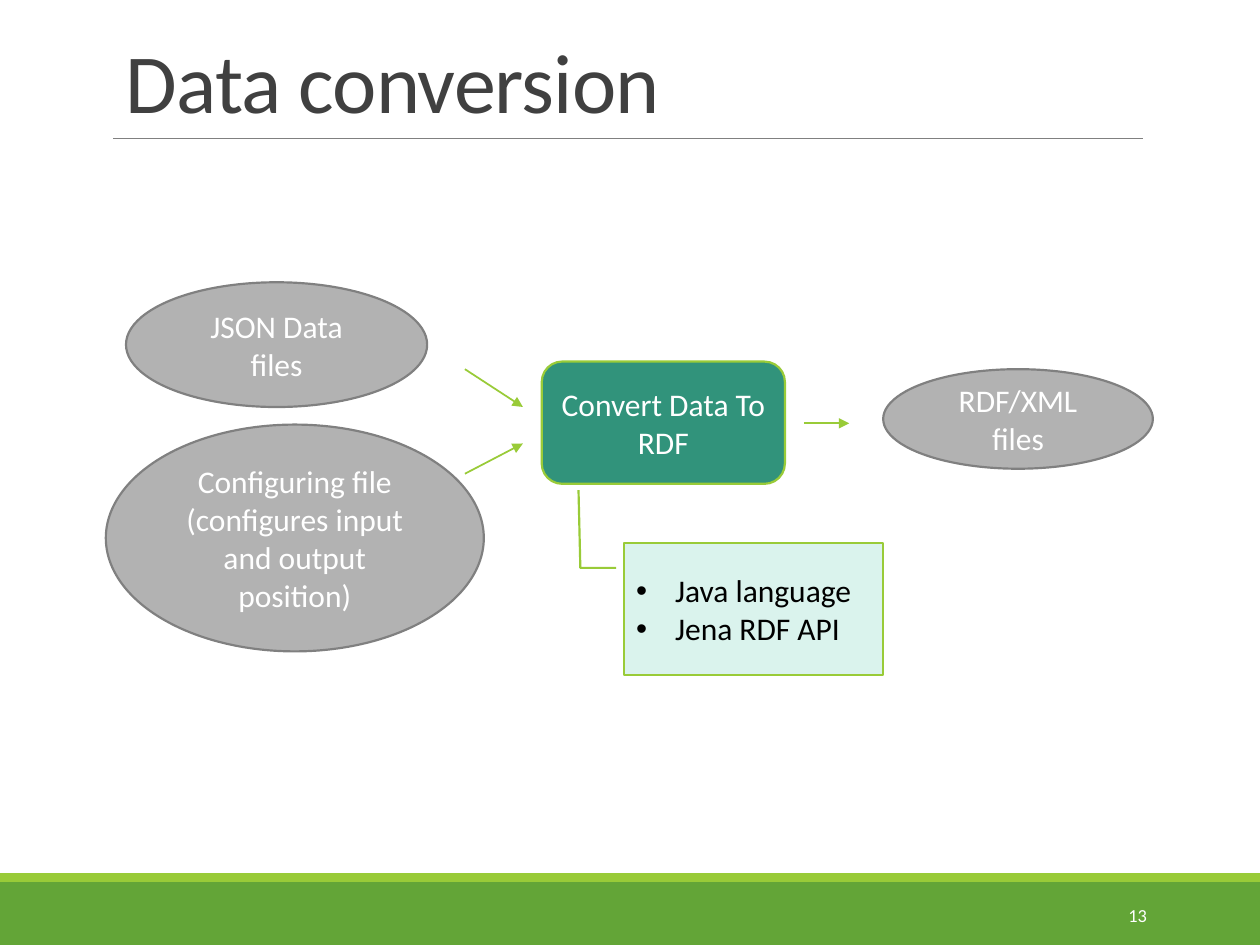
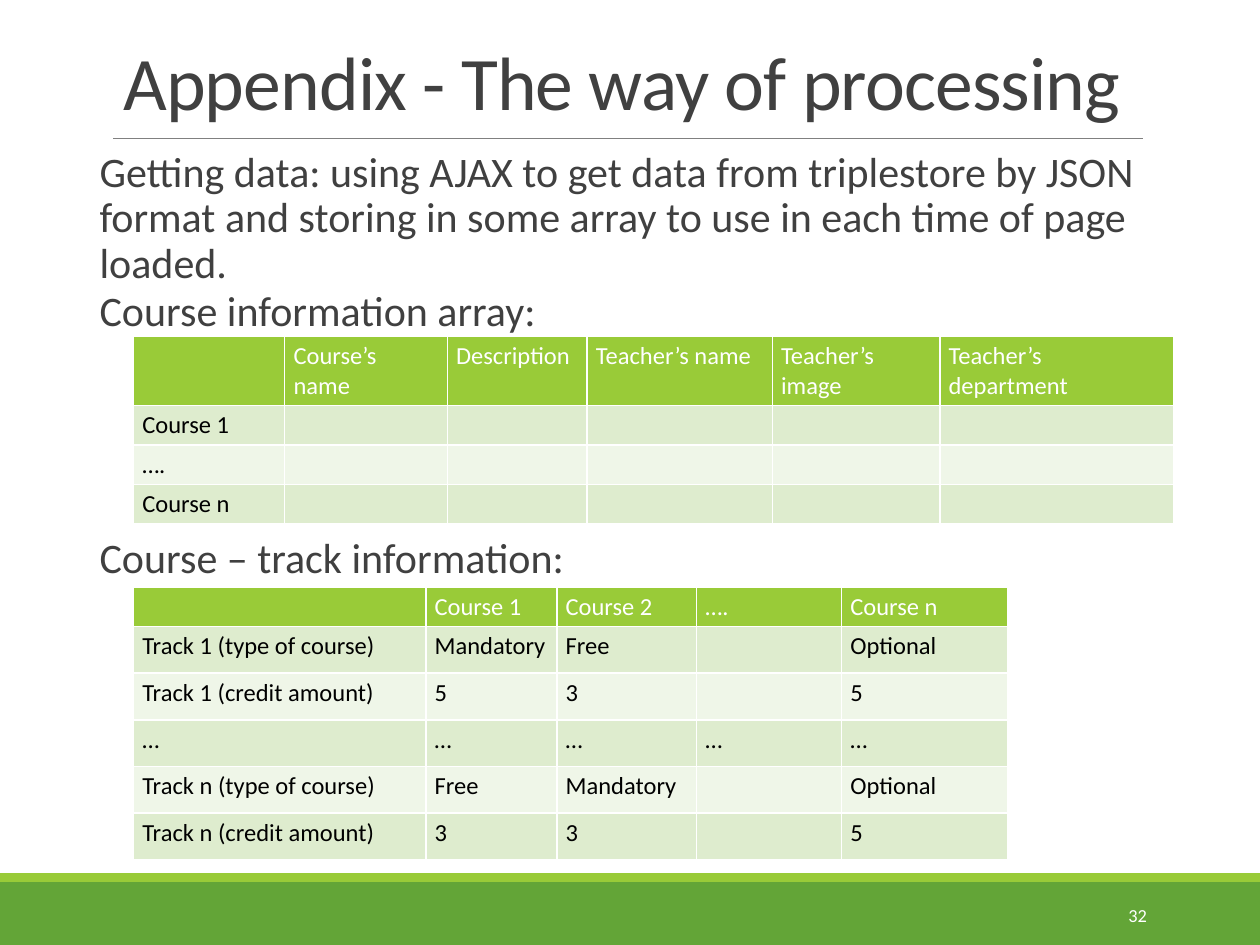
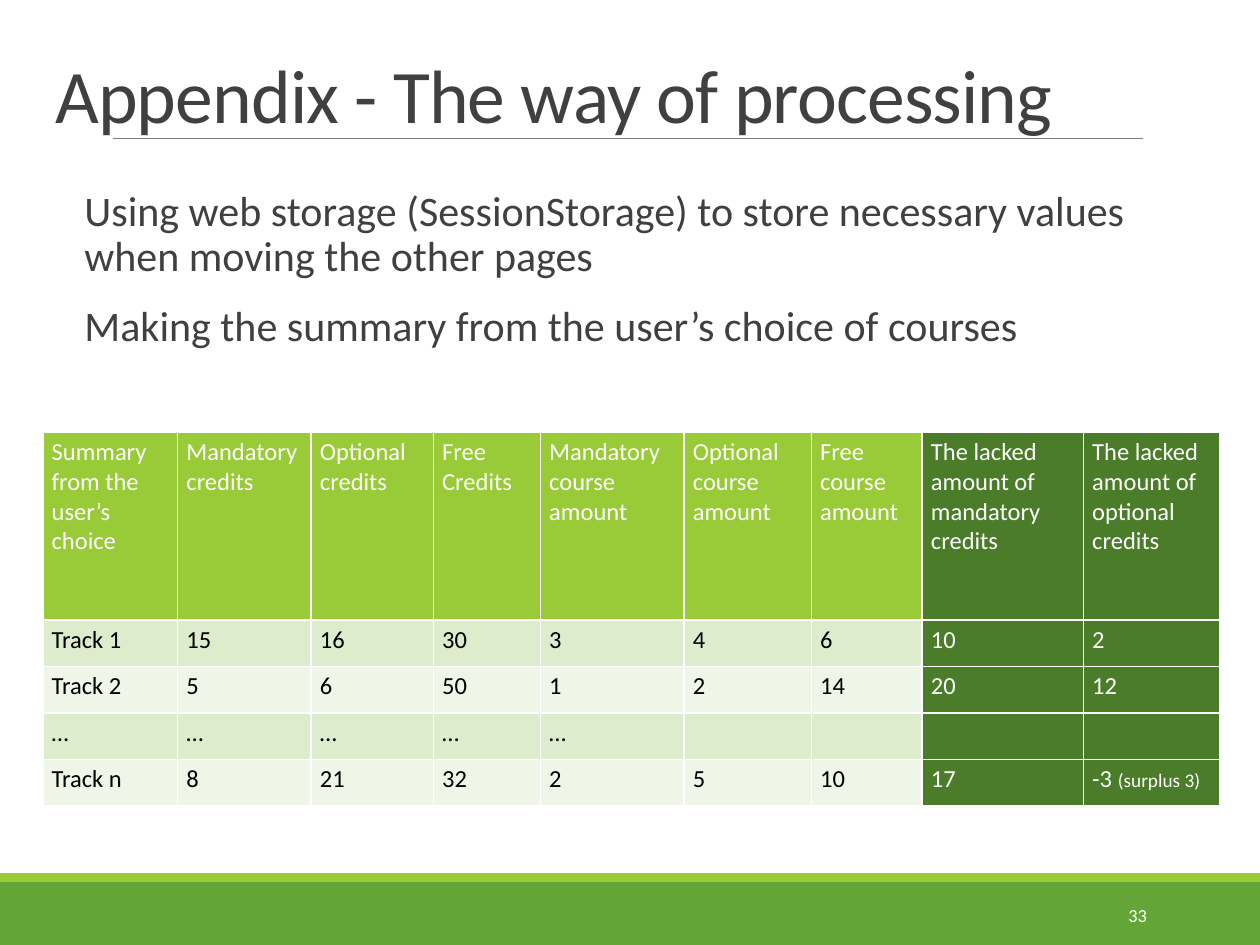
"""Build three slides on data conversion and course data processing."""
from dataclasses import dataclass

from lxml.etree import SubElement
from pptx import Presentation
from pptx.dml.color import RGBColor
from pptx.enum.shapes import MSO_CONNECTOR, MSO_SHAPE
from pptx.enum.text import MSO_ANCHOR, PP_ALIGN
from pptx.oxml.ns import qn
from pptx.util import Inches, Pt


@dataclass(frozen=True)
class Theme:
    font: str = "Calibri"
    white: str = "FFFFFF"
    black: str = "000000"
    ink: str = "404040"
    gray: str = "808080"
    oval: str = "B2B2B2"
    lime: str = "99CB38"
    green: str = "63A537"
    forest: str = "4A7C29"
    teal: str = "31937B"
    mint: str = "DAF3ED"
    bands: tuple = ("DEECCE", "EFF6E8")
    title: float = 48
    long_title: float = 43.2
    body: float = 24
    label: float = 18
    cell: float = 14
    small: float = 11
    number: float = 10.5


T = Theme()
W, H = 10, 7.5
FOOT = 0.5
STRIPE = 0.07
APPENDIX = "Appendix - The way of processing"

OVAL = (MSO_SHAPE.OVAL, T.oval, T.gray)
STEP = (MSO_SHAPE.ROUNDED_RECTANGLE, T.teal, T.lime)
NODES = [
    ("Convert Data To RDF", STEP, (4.3, 2.87, 1.93, 0.97)),
    ("JSON Data files", OVAL, (1, 2.24, 2.39, 0.99)),
    ("Configuring file (configures input and output position)", OVAL, (0.84, 3.37, 3, 1.8)),
    ("RDF/XML files", OVAL, (7.01, 2.93, 2.14, 0.79)),
]
ARROWS = [
    (3.69, 2.93, 4.15, 3.23),
    (3.69, 3.76, 4.15, 3.52),
    (6.38, 3.36, 6.74, 3.36),
]
TOOLS = ["Java language", "Jena RDF API"]
TOOLS_BOX = (4.95, 4.31, 2.06, 1.05)
TOOLS_LEADER = (0.188, -0.029, 0.188, -0.167, -0.4, -0.174)

DATA_NOTES = [
    ("Getting data: using AJAX to get data from triplestore by JSON format "
     "and storing in some array to use in each time of page loaded.", 0),
    ("Course information array:", 0),
    ("Course – track information:", 113),
]
COURSES = [
    ["", "Course’s name", "Description", "Teacher’s name", "Teacher’s image",
     "Teacher’s department"],
    ["Course 1"] + [""] * 5,
    ["…."] + [""] * 5,
    ["Course n"] + [""] * 5,
]
TRACKS = [
    ["", "Course 1", "Course 2", "….", "Course n"],
    ["Track 1 (type of course)", "Mandatory", "Free", "", "Optional"],
    ["Track 1 (credit amount)", "5", "3", "", "5"],
    ["…"] * 5,
    ["Track n (type of course)", "Free", "Mandatory", "", "Optional"],
    ["Track n (credit amount)", "3", "3", "", "5"],
]

SUMMARY_NOTES = [
    ("Using web storage (SessionStorage) to store necessary values "
     "when moving the other pages", 0),
    ("Making the summary from the user’s choice of courses", 12),
]
SUMMARY = [
    ["Summary from the user’s choice", "Mandatory credits", "Optional credits",
     "Free Credits", "Mandatory course amount", "Optional course amount",
     "Free course amount", "The lacked amount of mandatory credits",
     "The lacked amount of optional credits"],
    ["Track 1", "15", "16", "30", "3", "4", "6", "10", "2"],
    ["Track 2", "5", "6", "50", "1", "2", "14", "20", "12"],
    ["…"] * 5 + [""] * 4,
    ["Track n", "8", "21", "32", "2", "5", "10", "17", "-3 |(surplus 3)"],
]


def rgb(color):
    return RGBColor.from_string(color)


def inches(*values):
    return [Inches(v) for v in values]


def style(p, size, color):
    for r in p.runs:
        r.font.name = T.font
        r.font.size = Pt(size)
        r.font.color.rgb = rgb(color)


def indent(p, left, first=0):
    pPr = p._p.get_or_add_pPr()
    pPr.set("marL", str(Inches(left)))
    pPr.set("indent", str(Inches(first)))
    return pPr


def add_box(s, kind, box, fill, line=None):
    sp = s.shapes.add_shape(kind, *inches(*box))
    sp.shadow.inherit = False
    sp.fill.solid()
    sp.fill.fore_color.rgb = rgb(fill)
    if line:
        sp.line.color.rgb = rgb(line)
        sp.line.width = Pt(1.25)
    else:
        sp.line.fill.background()
    return sp


def add_line(s, ends, color, width, arrow=False):
    cn = s.shapes.add_connector(MSO_CONNECTOR.STRAIGHT, *inches(*ends))
    cn.line.color.rgb = rgb(color)
    cn.line.width = Pt(width)
    if arrow:
        SubElement(cn.line._get_or_add_ln(), qn("a:tailEnd"), type="triangle")
    SubElement(cn._element.spPr, qn("a:effectLst"))


def add_text(s, box, text, anchor=MSO_ANCHOR.TOP):
    tf = s.shapes.add_textbox(*inches(*box)).text_frame
    tf.word_wrap = True
    tf.vertical_anchor = anchor
    tf.text = text
    return tf


def add_slide(prs, title, box, size, number):
    s = prs.slides.add_slide(prs.slide_layouts[6])
    add_box(s, MSO_SHAPE.RECTANGLE, (0, H - FOOT, W, FOOT), T.green)
    add_box(s, MSO_SHAPE.RECTANGLE, (0, H - FOOT - STRIPE, W, STRIPE), T.lime)
    add_line(s, (0.9, 1.1, 9.07, 1.1), T.gray, 0.5)
    p = add_text(s, box, title, MSO_ANCHOR.BOTTOM).paragraphs[0]
    p.line_spacing = 0.85
    style(p, size, T.ink)
    p.runs[0]._r.get_or_add_rPr().set("spc", "-50")
    p = add_text(s, (8.12, 7.06, 1.08, 0.4), str(number), MSO_ANCHOR.MIDDLE).paragraphs[0]
    p.alignment = PP_ALIGN.RIGHT
    style(p, T.number, T.white)
    return s


def add_body(s, box, notes):
    tf = add_text(s, box, "\n".join(text for text, _ in notes))
    tf.margin_left = tf.margin_right = 0
    for p, (_, before) in zip(tf.paragraphs, notes):
        indent(p, 0.1)
        p.line_spacing = 0.9
        p.space_before = Pt(before)
        p.space_after = Pt(2)
        style(p, T.body, T.ink)


def fill_cell(cell, text, fill, color):
    tcPr = cell._tc.get_or_add_tcPr()
    for side in ("a:lnL", "a:lnR", "a:lnT", "a:lnB"):
        ln = SubElement(tcPr, qn(side), w=str(Pt(1)))
        SubElement(SubElement(ln, qn("a:solidFill")), qn("a:srgbClr"), val=T.white)
    cell.fill.solid()
    cell.fill.fore_color.rgb = rgb(fill)
    cell.margin_left = cell.margin_right = Inches(0.07)
    cell.margin_top = cell.margin_bottom = Inches(0.04)
    p = cell.text_frame.paragraphs[0]
    if not text:
        SubElement(p._p, qn("a:endParaRPr"), sz=str(T.cell * 100))
        return
    for part in text.split("|"):
        p.add_run().text = part
    style(p, T.cell, color)
    for r in p.runs[1:]:
        r.font.size = Pt(T.small)


def add_grid(s, left, top, cols, head, row, data, dark=0):
    """Draw a banded table whose last dark columns stand out."""
    heights = [head] + [row] * (len(data) - 1)
    box = inches(left, top, sum(cols), sum(heights))
    table = s.shapes.add_table(len(data), len(cols), *box).table
    for col, width in zip(table.columns, cols):
        col.width = Inches(width)
    for i, (values, height) in enumerate(zip(data, heights)):
        table.rows[i].height = Inches(height)
        for j, text in enumerate(values):
            if j >= len(cols) - dark:
                fill, color = T.forest, T.white
            elif i == 0:
                fill, color = T.lime, T.white
            else:
                fill, color = T.bands[(i - 1) % 2], T.black
            fill_cell(table.cell(i, j), text, fill, color)


def add_conversion(prs):
    s = add_slide(prs, "Data conversion", (0.9, 0.31, 8.25, 0.78), T.title, 13)
    for text, (kind, fill, line), box in NODES:
        tf = add_box(s, kind, box, fill, line).text_frame
        tf.word_wrap = True
        tf.vertical_anchor = MSO_ANCHOR.MIDDLE
        tf.text = text
        tf.paragraphs[0].alignment = PP_ALIGN.CENTER
        style(tf.paragraphs[0], T.label, T.white)
    for ends in ARROWS:
        add_line(s, ends, T.lime, 1, arrow=True)
    sp = add_box(s, MSO_SHAPE.LINE_CALLOUT_2, TOOLS_BOX, T.mint, T.lime)
    for i, value in enumerate(TOOLS_LEADER):
        sp.adjustments[i] = value
    tf = sp.text_frame
    tf.word_wrap = True
    tf.vertical_anchor = MSO_ANCHOR.MIDDLE
    tf.text = "\n".join(TOOLS)
    for p in tf.paragraphs:
        p.alignment = PP_ALIGN.LEFT
        pPr = indent(p, 0.31, -0.31)
        SubElement(pPr, qn("a:buFont"), typeface="Arial")
        SubElement(pPr, qn("a:buChar"), char="•")
        style(p, T.label, T.black)


def add_processing(prs):
    s = add_slide(prs, APPENDIX, (0.88, 0.12, 8.62, 0.93), T.long_title, 32)
    add_body(s, (0.69, 1.15, 8.82, 6.05), DATA_NOTES)
    add_grid(s, 1.06, 2.67, [1.2, 1.29, 1.11, 1.47, 1.33, 1.86], 0.54, 0.31, COURSES)
    add_grid(s, 1.06, 4.66, [2.32, 1.04, 1.11, 1.15, 1.32], 0.31, 0.37, TRACKS)


def add_summary(prs):
    s = add_slide(prs, APPENDIX, (0.34, 0.4, 9.55, 0.75), T.long_title, 33)
    add_body(s, (0.57, 1.46, 8.62, 3.91), SUMMARY_NOTES)
    cols = [1.07, 1.06, 0.97, 0.85, 1.14, 1.01, 0.88, 1.28, 1.08]
    add_grid(s, 0.34, 3.43, cols, 1.49, 0.37, SUMMARY, dark=2)


def main():
    prs = Presentation()
    prs.slide_width, prs.slide_height = inches(W, H)
    add_conversion(prs)
    add_processing(prs)
    add_summary(prs)
    prs.save("out.pptx")


if __name__ == "__main__":
    main()
